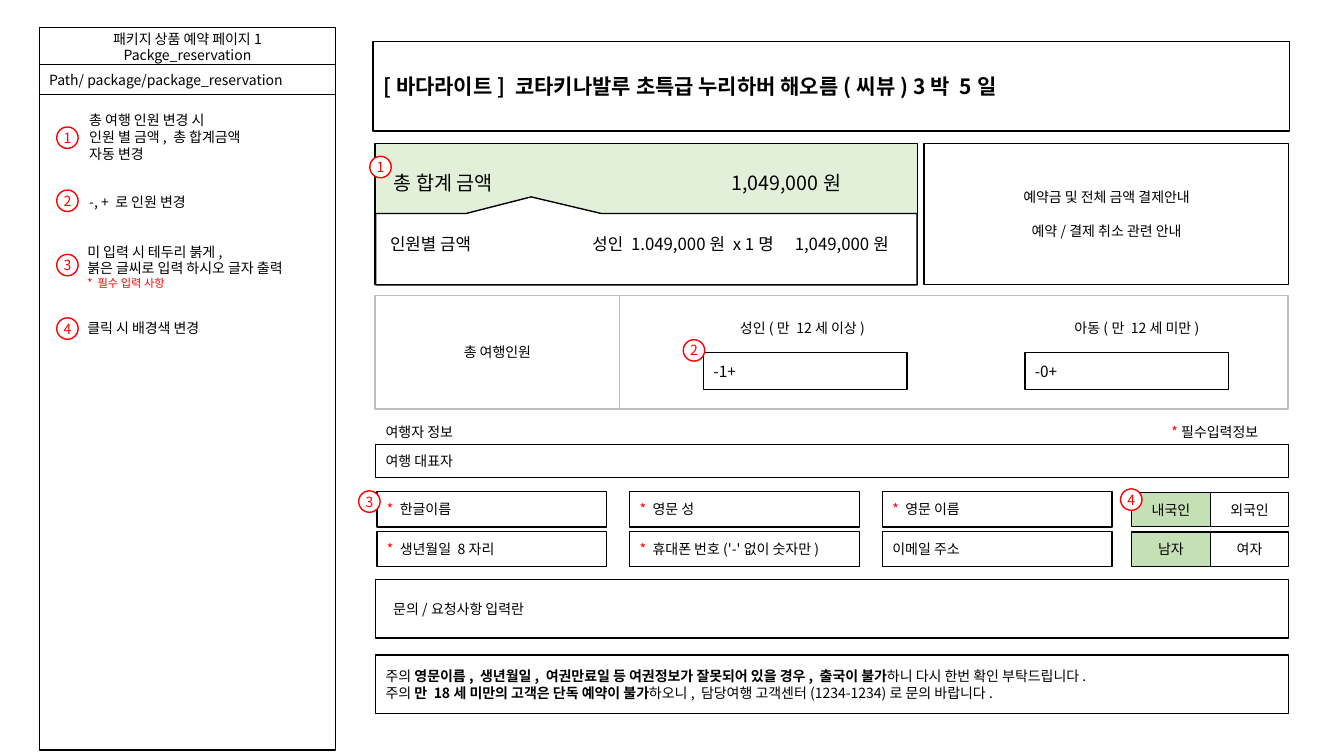
from lxml.etree import SubElement
from pptx import Presentation
from pptx.dml.color import RGBColor
from pptx.enum.shapes import MSO_SHAPE as Form
from pptx.enum.text import MSO_ANCHOR as Anchor, MSO_AUTO_SIZE as Auto, PP_ALIGN as Align
from pptx.oxml.ns import qn
from pptx.util import Cm, Pt

FONT = "Noto Sans CJK KR"
HUES = {
    "ink": "000000",
    "white": "FFFFFF",
    "red": "FF0000",
    "gray": "BFBFBF",
    "mint": "E2F0D9",
    "green": "C5E0B4",
}
STAR = {"tone": "red"}
BOLD = {"bold": True}


def hue(name):
    return RGBColor.from_string(HUES[name])


def style(run, size, tone="ink", bold=False):
    font = run.font
    font.size = Pt(size)
    font.bold = bold
    font.color.rgb = hue(tone)
    font.name = FONT
    SubElement(run._r.get_or_add_rPr(), qn("a:ea")).set("typeface", FONT)


def write(frame, text, size=10, align=Align.LEFT, gap=0, tabs=(), **look):
    first = frame.paragraphs[0]
    para = frame.add_paragraph() if first.runs else first
    para.alignment = align
    if gap:
        para.space_before = Pt(gap)
    if tabs:
        stops = SubElement(para._p.get_or_add_pPr(), qn("a:tabLst"))
        for stop in tabs:
            SubElement(stops, qn("a:tab"), pos=str(Cm(stop)), algn="l")
    parts = [(text, look)] if isinstance(text, str) else text
    for words, mode in parts:
        run = para.add_run()
        run.text = words
        style(run, size, **mode)


def paint(shape, fill="white", line="ink"):
    shape.fill.solid()
    shape.fill.fore_color.rgb = hue(fill)
    shape.line.color.rgb = hue(line)
    shape.line.width = Pt(1)


def box(slide, area, text=None, fill="white", line="ink", form=Form.RECTANGLE, **look):
    shape = slide.shapes.add_shape(form, *map(Cm, area))
    shape.shadow.inherit = False
    paint(shape, fill, line)
    frame = shape.text_frame
    frame.vertical_anchor = Anchor.MIDDLE
    frame.word_wrap = True
    if text:
        write(frame, text, **look)
    return shape


def note(slide, area, lines, **look):
    frame = slide.shapes.add_textbox(*map(Cm, area)).text_frame
    frame.word_wrap = True
    for line in lines:
        write(frame, line, **look)
    return frame


def badge(slide, left, top, num):
    shape = box(slide, (left, top, 0.54, 0.54), line="red", form=Form.OVAL)
    frame = shape.text_frame
    frame.margin_left = frame.margin_right = 0
    frame.margin_top = frame.margin_bottom = 0
    frame.word_wrap = False
    write(frame, str(num), tone="red", align=Align.CENTER)


def heading(slide, text):
    title = slide.shapes.title
    title.left, title.top, title.width, title.height = map(Cm, (9.4, 1.04, 23.09, 2.26))
    paint(title)
    frame = title.text_frame
    frame.auto_size = Auto.NONE
    frame.vertical_anchor = Anchor.MIDDLE
    write(frame, text, size=15, bold=True)


def sidebar(slide):
    box(slide, (0.99, 2.16, 7.47, 16.74))
    head = box(slide, (0.99, 0.69, 7.47, 0.99), "패키지 상품 예약 페이지1", align=Align.CENTER)
    write(head.text_frame, "Packge_reservation", align=Align.CENTER)
    box(slide, (0.99, 1.63, 7.47, 0.76), "Path/ package/package_reservation")
    note(slide, (2, 2.69, 4.65, 1.55),
         ["총 여행 인원 변경 시", "인원 별 금액, 총 합계금액", "자동 변경"])
    note(slide, (2, 4.75, 3.43, 0.69), ["-, + 로 인원 변경"])
    alert = note(slide, (1.95, 6, 6.25, 1.45),
                 ["미 입력 시 테두리 붉게,", "붉은 글씨로 입력 하시오 글자 출력"])
    write(alert, "* 필수 입력 사항", size=8, tone="red")
    note(slide, (1.95, 7.93, 4.01, 0.69), ["클릭 시 배경색 변경"])
    for num, top in enumerate((3.2, 4.79, 6.41, 8.01), 1):
        badge(slide, 1.43, top, num)


def price(slide):
    box(slide, (9.45, 3.61, 13.67, 3.56), fill="mint")
    tip = box(slide, (9.47, 5.38, 13.64, 1.8), form=Form.RECTANGULAR_CALLOUT)
    tip.rotation = 180
    tip.adjustments[0], tip.adjustments[1] = 0.213, 0.733
    note(slide, (9.68, 4.17, 13.23, 0.86), ["총 합계 금액\t1,049,000원"], size=14, tabs=[8.5])
    note(slide, (9.58, 5.77, 13.23, 0.76),
         ["인원별 금액\t성인 1.049,000원 x 1명\t1,049,000원"], size=12, tabs=[5.1, 10.2])
    info = box(slide, (23.29, 3.61, 9.19, 3.56), "예약금 및 전체 금액 결제안내", align=Align.CENTER)
    write(info.text_frame, "예약/결제 취소 관련 안내", align=Align.CENTER, gap=12)


def party(slide):
    box(slide, (9.45, 7.44, 6.17, 2.87), "총 여행인원", line="gray", align=Align.CENTER)
    box(slide, (15.62, 7.44, 16.84, 2.87), line="gray")
    for left, side, label, count in (
        (17.02, 17.73, "성인(만 12세 이상)", "-1+"),
        (25.45, 25.83, "아동(만 12세 미만)", "-0+"),
    ):
        box(slide, (left, 7.89, 6.4, 0.76), label, line="white", align=Align.CENTER)
        box(slide, (side, 8.88, 5.13, 0.94), count, size=11)


def form(slide):
    box(slide, (9.47, 10.59, 23.01, 0.61),
        [("여행자 정보\t", {}), ("*", STAR), ("필수입력정보", {})], line="white", tabs=[19.8])
    box(slide, (9.47, 11.2, 23.01, 0.84), "여행 대표자")
    rows = (
        ("한글이름", "영문 성", "영문 이름"),
        ("생년월일 8자리", "휴대폰 번호('-'없이 숫자만)", "이메일 주소"),
    )
    picks = (("내국인", "외국인"), ("남자", "여자"))
    for row, (labels, pair) in enumerate(zip(rows, picks)):
        top = 12.39 + row
        for col, label in enumerate(labels):
            text = label if label == "이메일 주소" else [("* ", STAR), (label, {})]
            box(slide, (9.5 + 6.37 * col, top, 5.79, 0.89), text)
        for col, (label, fill) in enumerate(zip(pair, ("green", "white"))):
            box(slide, (28.52 + 1.98 * col, top + 0.02, 1.98, 0.86), label,
                fill=fill, align=Align.CENTER)
    ask = box(slide, (9.47, 14.61, 23.01, 1.47), "문의/요청사항 입력란")
    ask.text_frame.margin_left = Cm(0.44)
    warn = box(slide, (9.47, 16.51, 23.01, 1.47), [
        ("주의\u00a0".replace("\u00a0", " "), {}),
        ("영문이름, 생년월일, 여권만료일 등 여권정보가 잘못되어 있을 경우, 출국이 불가", BOLD),
        ("하니 다시 한번 확인 부탁드립니다.", {}),
    ])
    write(warn.text_frame, [
        ("주의 ", {}),
        ("만 18세 미만의 고객은 단독 예약이 불가", BOLD),
        ("하오니, 담당여행 고객센터(1234-1234)로 문의 바랍니다.", {}),
    ])


def main():
    deck = Presentation()
    deck.slide_width, deck.slide_height = Cm(33.87), Cm(19.05)
    slide = deck.slides.add_slide(deck.slide_layouts[5])
    heading(slide, "[바다라이트] 코타키나발루 초특급 누리하버 해오름(씨뷰) 3박 5일")
    sidebar(slide)
    price(slide)
    party(slide)
    form(slide)
    for num, (left, top) in enumerate(
        ((9.32, 3.94), (17.22, 8.56), (9.04, 12.37), (28.24, 12.32)), 1
    ):
        badge(slide, left, top, num)
    deck.save("out.pptx")


if __name__ == "__main__":
    main()
